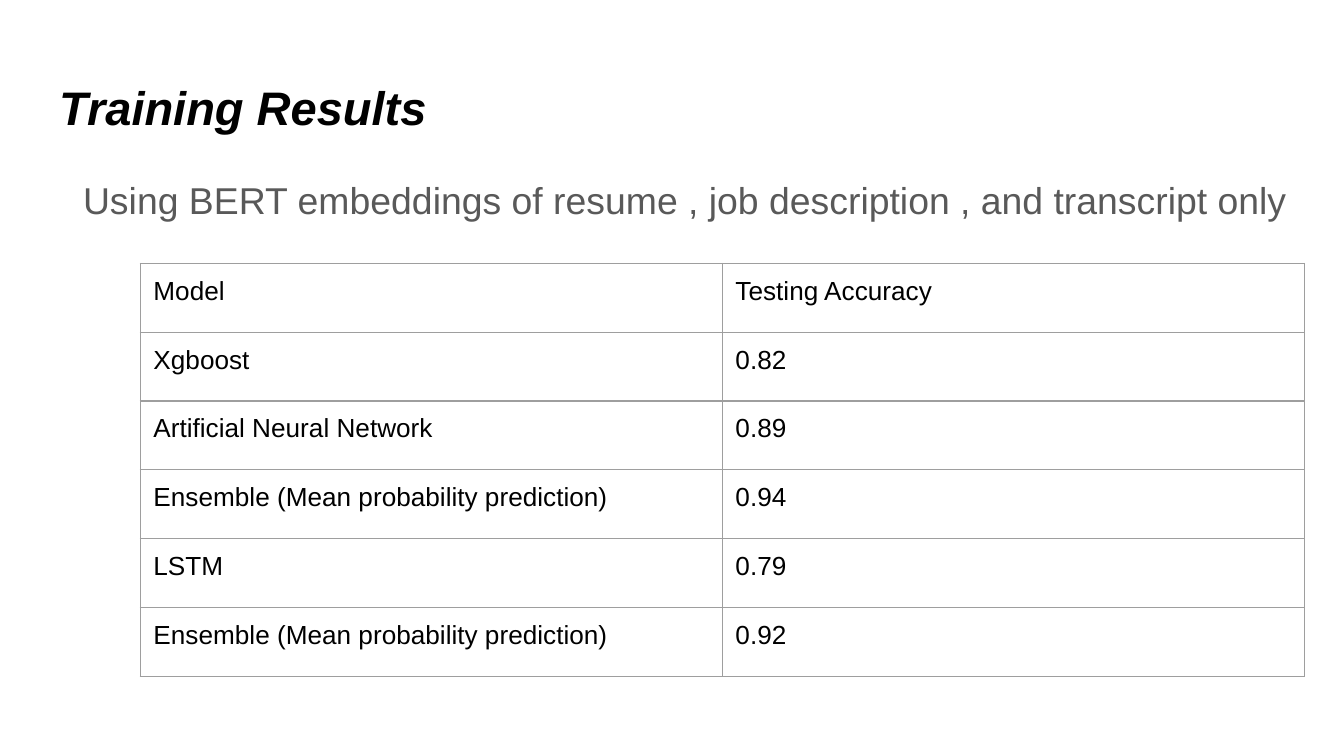
"""Build the slide that lists model accuracies in a table."""
import lxml.etree
import pptx
import pptx.dml.color
import pptx.oxml.ns
import pptx.util

Cm = pptx.util.Cm
Pt = pptx.util.Pt
qn = pptx.oxml.ns.qn

TITLE = "Training Results"
SUBTITLE = "Using BERT embeddings of resume , job description , and transcript only"
RESULTS = [
    ("Model", "Testing Accuracy"),
    ("Xgboost", "0.82"),
    ("Artificial Neural Network", "0.89"),
    ("Ensemble (Mean probability prediction)", "0.94"),
    ("LSTM", "0.79"),
    ("Ensemble (Mean probability prediction)", "0.92"),
]

THEME = {
    "font": "Arial",
    "title": {"size": 25.2, "color": "000000", "bold": True, "italic": True},
    "subtitle": {"size": 20, "color": "595959"},
    "cell": {"size": 14, "color": "000000"},
    "border": {"width": 0.75, "color": "9E9E9E"},
    "inset": Cm(0.25),
}
SLIDE_SIZE = Cm(25.4), Cm(14.29)
TITLE_BOX = Cm(0.87), Cm(1.24), Cm(23.67), Cm(1.6)
SUBTITLE_BOX = Cm(1.32), Cm(2.97), Cm(23.67), Cm(1.6)
TABLE_ORIGIN = Cm(2.65), Cm(4.98)
COLUMN_WIDTH, ROW_HEIGHT = Cm(11.0), Cm(1.3)


def set_attributes(target, values):
    for name, value in values.items():
        setattr(target, name, value)


def write_text(paragraph, text, style):
    run = paragraph.add_run()
    run.text = text
    set_attributes(run.font, {
        "name": THEME["font"],
        "size": Pt(style["size"]),
        "bold": style.get("bold", False),
        "italic": style.get("italic", False),
    })
    run.font.color.rgb = pptx.dml.color.RGBColor.from_string(style["color"])


def set_margins(target):
    sides = ("left", "top", "right", "bottom")
    set_attributes(target, {f"margin_{side}": THEME["inset"] for side in sides})


def add_text(slide, box, text, style, spacing):
    frame = slide.shapes.add_textbox(*box).text_frame
    frame.word_wrap = True
    set_margins(frame)
    paragraph = frame.paragraphs[0]
    set_attributes(paragraph, spacing)
    write_text(paragraph, text, style)


def add_borders(cell):
    border = THEME["border"]
    properties = cell._tc.get_or_add_tcPr()
    for side in ("lnL", "lnR", "lnT", "lnB"):
        line = lxml.etree.SubElement(properties, qn(f"a:{side}"), w=str(Pt(border["width"])))
        fill = lxml.etree.SubElement(line, qn("a:solidFill"))
        lxml.etree.SubElement(fill, qn("a:srgbClr"), val=border["color"])


def add_results_table(slide):
    row_count, column_count = len(RESULTS), len(RESULTS[0])
    size = COLUMN_WIDTH * column_count, ROW_HEIGHT * row_count
    table = slide.shapes.add_table(row_count, column_count, *TABLE_ORIGIN, *size).table
    set_attributes(table, {"first_row": False, "horz_banding": False})
    for row, texts in zip(table.rows, RESULTS):
        for cell, text in zip(row.cells, texts):
            set_margins(cell)
            add_borders(cell)
            cell.fill.background()
            write_text(cell.text_frame.paragraphs[0], text, THEME["cell"])


def main():
    presentation = pptx.Presentation()
    presentation.slide_width, presentation.slide_height = SLIDE_SIZE
    slide = presentation.slides.add_slide(presentation.slide_layouts[6])
    add_text(slide, TITLE_BOX, TITLE, THEME["title"], {})
    add_text(slide, SUBTITLE_BOX, SUBTITLE, THEME["subtitle"],
             {"line_spacing": 1.15, "space_after": Pt(12)})
    add_results_table(slide)
    presentation.save("out.pptx")


if __name__ == "__main__":
    main()
